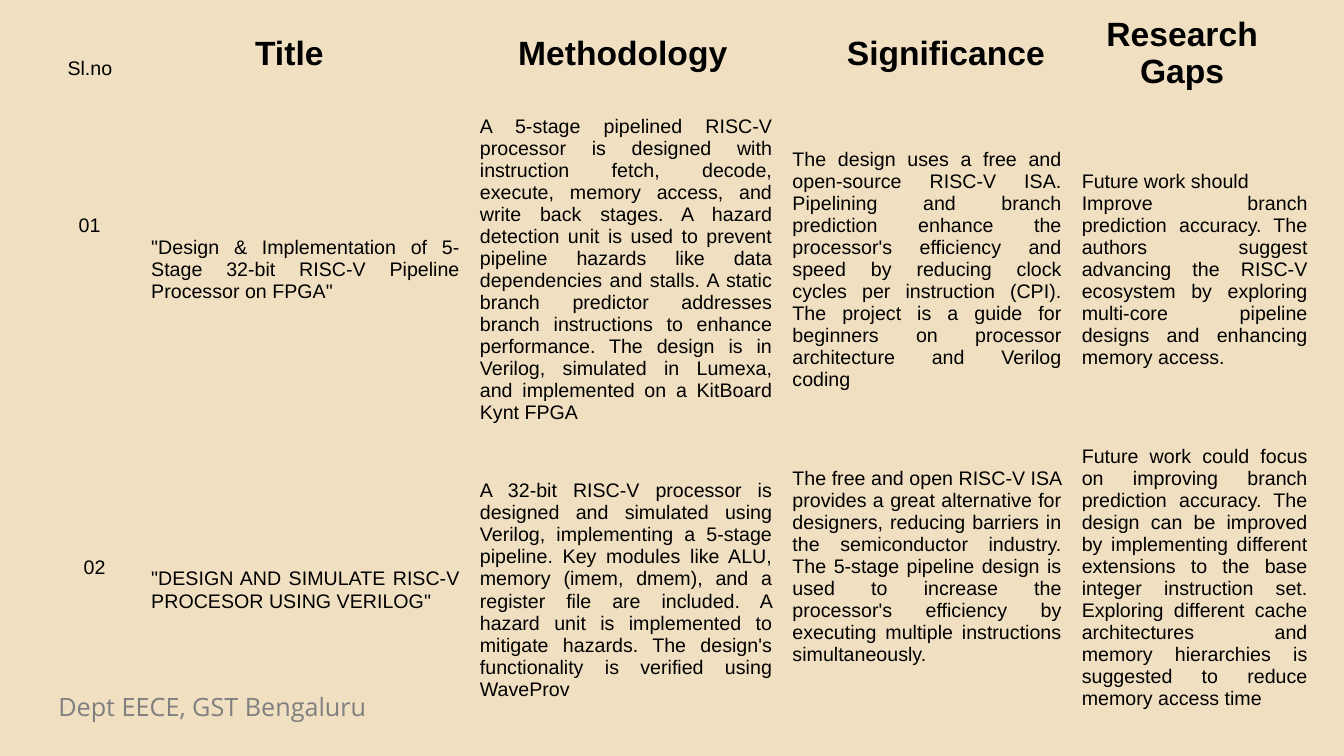
from dataclasses import dataclass

from pptx import Presentation
from pptx.dml.color import RGBColor as Rgb
from pptx.enum.text import MSO_ANCHOR as Anchor, PP_ALIGN as Align
from pptx.util import Inches, Pt


@dataclass(frozen=True)
class Theme:
    back: Rgb = Rgb(0xF0, 0xE0, 0xC1)
    ink: Rgb = Rgb(0, 0, 0)
    muted: Rgb = Rgb(0x7F, 0x7F, 0x7F)
    font: str = "Arial"
    foot_font: str = "Open Sans"
    head: int = 24
    body: int = 14
    foot: int = 18
    grid: str = "{2D5ABB26-0587-4C30-8999-92F81FD0307C}"  # no style, no grid


THEME = Theme()
COLS = (0.83, 3.26, 3.1, 2.87, 2.44)
ROWS = (0.88, 3.39, 2.97)

HEAD = {"name": THEME.font, "size": Pt(THEME.head), "bold": True,
        "color": THEME.ink}
BODY = {**HEAD, "size": Pt(THEME.body), "bold": False}
FOOT = {**BODY, "name": THEME.foot_font, "size": Pt(THEME.foot),
        "color": THEME.muted}

TEXTS = (
    ("Sl.no", "Title", "Methodology", "Significance", "Research Gaps"),
    ("01",
     '"Design & Implementation of 5-Stage 32-bit RISC-V Pipeline Processor '
     'on FPGA"',
     "A 5-stage pipelined RISC-V processor is designed with instruction "
     "fetch, decode, execute, memory access, and write back stages. A hazard "
     "detection unit is used to prevent pipeline hazards like data "
     "dependencies and stalls. A static branch predictor addresses branch "
     "instructions to enhance performance. The design is in Verilog, "
     "simulated in Lumexa, and implemented on a KitBoard Kynt FPGA",
     "The design uses a free and open-source RISC-V ISA. Pipelining and "
     "branch prediction enhance the processor's efficiency and speed by "
     "reducing clock cycles per instruction (CPI). The project is a guide "
     "for beginners on processor architecture and Verilog coding",
     "Future work should\n"
     "Improve branch prediction accuracy. The authors suggest advancing the "
     "RISC-V ecosystem by exploring multi-core pipeline designs and "
     "enhancing memory access."),
    ("02",
     '"DESIGN AND SIMULATE RISC-V PROCESOR USING VERILOG"',
     "A 32-bit RISC-V processor is designed and simulated using Verilog, "
     "implementing a 5-stage pipeline. Key modules like ALU, memory (imem, "
     "dmem), and a register file are included. A hazard unit is implemented "
     "to mitigate hazards. The design's functionality is verified using "
     "WaveProv",
     "The free and open RISC-V ISA provides a great alternative for "
     "designers, reducing barriers in the semiconductor industry. The "
     "5-stage pipeline design is used to increase the processor's efficiency "
     "by executing multiple instructions simultaneously.",
     "Future work could focus on improving branch prediction accuracy. The "
     "design can be improved by implementing different extensions to the "
     "base integer instruction set. Exploring different cache architectures "
     "and memory hierarchies is suggested to reduce memory access time"),
)

# Cells whose text is set in from the usual margins, by (row, column)
INSETS = {
    (0, 0): {"margin_top": 0.49},
    (0, 1): {"margin_left": 1.13},
    (0, 2): {"margin_left": 0.48},
    (0, 3): {"margin_left": 0.64},
    (0, 4): {"margin_left": 0.2, "margin_right": 0.45},
    (1, 0): {"margin_top": 1.15, "margin_left": 0.21},
    (2, 0): {"margin_top": 1.15, "margin_left": 0.26},
    (2, 3): {"margin_top": 0.27},
}
TOP = {(0, 0), (1, 0), (2, 0), (2, 3), (2, 4)}


def style(font, form):
    for key, val in form.items():
        if key == "color":
            font.color.rgb = val
        else:
            setattr(font, key, val)


def write(frame, text, form, align):
    frame.text = text
    for para in frame.paragraphs:
        para.alignment = align
        for run in para.runs:
            style(run.font, form)


def add_foot(slide, text):
    box = slide.shapes.add_textbox(
        Inches(0.48), Inches(6.81), Inches(5.24), Inches(0.4))
    box.text_frame.word_wrap = True
    write(box.text_frame, text, FOOT, Align.LEFT)


def fill_cell(cell, spot, text):
    row, col = spot
    cell.fill.background()
    cell.vertical_anchor = Anchor.TOP if spot in TOP else Anchor.MIDDLE
    for side, size in INSETS.get(spot, {}).items():
        setattr(cell, side, Inches(size))
    form = HEAD if row == 0 and col > 0 else BODY
    align = Align.CENTER if spot == (0, 4) else Align.JUSTIFY
    write(cell.text_frame, text, form, align)


def add_grid(slide):
    table = slide.shapes.add_table(
        len(ROWS), len(COLS), Inches(0.57), Inches(0.08),
        Inches(sum(COLS)), Inches(sum(ROWS))).table
    table.first_row = table.horz_banding = False
    table._tbl.tblPr[0].text = THEME.grid
    for col, size in zip(table.columns, COLS):
        col.width = Inches(size)
    for row, size in zip(table.rows, ROWS):
        row.height = Inches(size)
    for r, line in enumerate(TEXTS):
        for c, text in enumerate(line):
            fill_cell(table.cell(r, c), (r, c), text)


def main():
    deck = Presentation()
    deck.slide_width, deck.slide_height = Inches(13.33), Inches(7.5)
    slide = deck.slides.add_slide(deck.slide_layouts[6])
    back = slide.background.fill
    back.solid()
    back.fore_color.rgb = THEME.back
    add_foot(slide, "Dept EECE, GST Bengaluru")
    add_grid(slide)
    deck.save("out.pptx")


if __name__ == "__main__":
    main()
